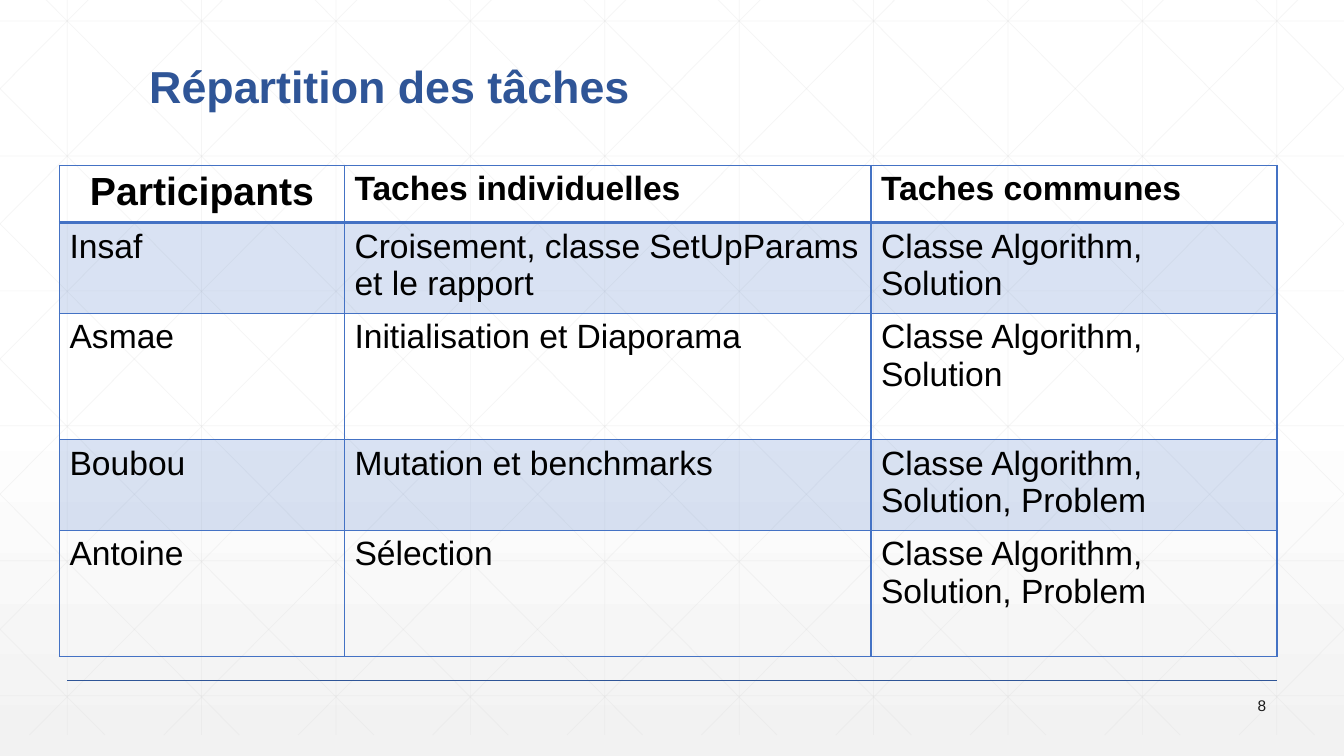
from dataclasses import dataclass

from lxml import etree
from pptx import Presentation
from pptx.dml.color import RGBColor
from pptx.enum.shapes import MSO_CONNECTOR
from pptx.enum.text import MSO_ANCHOR, PP_ALIGN
from pptx.oxml.ns import qn
from pptx.slide import Slide
from pptx.table import _Cell
from pptx.text.text import _Paragraph
from pptx.util import Cm, Pt

STRAIGHT = MSO_CONNECTOR.STRAIGHT
BOTTOM, MIDDLE = MSO_ANCHOR.BOTTOM, MSO_ANCHOR.MIDDLE
LEFT, CENTER, RIGHT = PP_ALIGN.LEFT, PP_ALIGN.CENTER, PP_ALIGN.RIGHT

FONT = "Arial"
COLORS = {
    "white": "FFFFFF",
    "background_end": "F2F2F2",
    "grid": "D9D9D9",
    "title": "2F5597",
    "table": "4472C4",
    "text": "000000",
    "number": "1A1A1A",
}

# All lengths are in centimetres.
SLIDE_WIDTH, SLIDE_HEIGHT = 33.87, 19.05
GRID_TOP, GRID_BOTTOM = -0.53, 18.52
GRID_COLUMNS, GRID_ROWS = 10, 6
GRID_PITCH = SLIDE_WIDTH / GRID_COLUMNS
ROW_START, ROW_PITCH = 0.53, 3.4
DIAGONAL_START, DIAGONAL_RUN = 0.64, 18.94

COLUMN_WIDTHS = (7.18, 13.27, 10.23)
ROW_HEIGHTS = (1.4, 2.2, 3.18, 2.2, 3.18)
TASKS = (
    ("Participants", "Taches individuelles", "Taches communes"),
    ("Insaf", "Croisement, classe SetUpParams et le rapport", "Classe Algorithm, Solution"),
    ("Asmae", "Initialisation et Diaporama", "Classe Algorithm, Solution"),
    ("Boubou", "Mutation et benchmarks", "Classe Algorithm, Solution, Problem"),
    ("Antoine", "Sélection", "Classe Algorithm, Solution, Problem"),
)


@dataclass(frozen=True)
class Line:
    x1: float
    y1: float
    x2: float
    y2: float
    color: str = "grid"
    width: float = 0.5
    opacity: int = 25

    def mirrored(self) -> "Line":
        return Line(SLIDE_WIDTH - self.x1, self.y1, SLIDE_WIDTH - self.x2, self.y2)


@dataclass(frozen=True)
class TextStyle:
    size: int
    color: str
    bold: bool = False
    alignment: PP_ALIGN = LEFT


@dataclass(frozen=True)
class Label:
    text: str
    left: float
    top: float
    width: float
    height: float
    anchor: MSO_ANCHOR
    style: TextStyle
    line_spacing: float = 1.0


LABELS = (
    Label("Répartition des tâches", 3.51, 0.97, 26.67, 2.01, BOTTOM,
          TextStyle(32, "title", bold=True), 0.9),
    Label("8", 29.62, 17.48, 2.54, 0.61, MIDDLE,
          TextStyle(11, "number", alignment=RIGHT)),
)


def rgb(name: str) -> RGBColor:
    return RGBColor.from_string(COLORS[name])


def set_opacity(element: etree._Element, percent: int) -> None:
    for color in element.iter(qn("a:srgbClr")):
        etree.SubElement(color, qn("a:alpha"), val=str(percent * 1000))


def diagonal(index: int) -> Line:
    """Return a falling diagonal, cut at the sides of the slide."""
    start = DIAGONAL_START + index * GRID_PITCH
    slope = (GRID_BOTTOM - GRID_TOP) / DIAGONAL_RUN
    x1, x2 = max(start, 0), min(start + DIAGONAL_RUN, SLIDE_WIDTH)
    return Line(x1, GRID_TOP + (x1 - start) * slope, x2, GRID_TOP + (x2 - start) * slope)


def grid_lines() -> list[Line]:
    columns = [(index + 0.5) * GRID_PITCH for index in range(GRID_COLUMNS)]
    rows = [ROW_START + index * ROW_PITCH for index in range(GRID_ROWS)]
    diagonals = [diagonal(index) for index in range(-5, GRID_COLUMNS)]
    return (
        [Line(x, GRID_TOP, x, GRID_BOTTOM) for x in columns]
        + [Line(0, y, SLIDE_WIDTH, y) for y in rows]
        + diagonals
        + [line.mirrored() for line in diagonals]
    )


def draw_line(slide: Slide, line: Line) -> None:
    connector = slide.shapes.add_connector(
        STRAIGHT, Cm(line.x1), Cm(line.y1), Cm(line.x2), Cm(line.y2))
    connector.line.color.rgb = rgb(line.color)
    connector.line.width = Pt(line.width)
    properties = connector._element.spPr
    if line.opacity < 100:
        set_opacity(properties, line.opacity)
    etree.SubElement(properties, qn("a:effectLst"))


def format_paragraph(paragraph: _Paragraph, style: TextStyle) -> None:
    paragraph.alignment = style.alignment
    for run in paragraph.runs:
        run.font.name = FONT
        run.font.size = Pt(style.size)
        run.font.bold = style.bold
        run.font.color.rgb = rgb(style.color)


def draw_label(slide: Slide, label: Label) -> None:
    shape = slide.shapes.add_textbox(
        Cm(label.left), Cm(label.top), Cm(label.width), Cm(label.height))
    frame = shape.text_frame
    frame.word_wrap = True
    frame.vertical_anchor = label.anchor
    frame.text = label.text
    paragraph = frame.paragraphs[0]
    paragraph.line_spacing = label.line_spacing
    format_paragraph(paragraph, label.style)


def set_borders(cell: _Cell, top: float, bottom: float) -> None:
    """Set the cell borders, with widths in points; the sides are 1 point."""
    properties = cell._tc.get_or_add_tcPr()
    widths = {"a:lnL": 1, "a:lnR": 1, "a:lnT": top, "a:lnB": bottom}
    for position, (tag, width) in enumerate(widths.items()):
        border = etree.Element(qn(tag), w=str(Pt(width)))
        fill = etree.SubElement(border, qn("a:solidFill"))
        etree.SubElement(fill, qn("a:srgbClr"), val=COLORS["table"])
        properties.insert(position, border)


def cell_style(row: int, column: int) -> TextStyle:
    if (row, column) == (0, 0):
        return TextStyle(28, "text", bold=True, alignment=CENTER)
    return TextStyle(24, "text", bold=row == 0)


def draw_tasks(slide: Slide) -> None:
    table = slide.shapes.add_table(
        len(TASKS), len(COLUMN_WIDTHS), Cm(1.5), Cm(4.17),
        Cm(sum(COLUMN_WIDTHS)), Cm(sum(ROW_HEIGHTS))).table
    table.first_row = table.horz_banding = False
    for column, width in zip(table.columns, COLUMN_WIDTHS):
        column.width = Cm(width)
    for row_index, (height, texts) in enumerate(zip(ROW_HEIGHTS, TASKS)):
        table.rows[row_index].height = Cm(height)
        for column_index, text in enumerate(texts):
            cell = table.cell(row_index, column_index)
            cell.text_frame.text = text
            format_paragraph(cell.text_frame.paragraphs[0], cell_style(row_index, column_index))
            if row_index % 2:
                cell.fill.solid()
                cell.fill.fore_color.rgb = rgb("table")
                set_opacity(cell._tc.tcPr, 20)
            else:
                cell.fill.background()
            set_borders(cell, 2 if row_index == 1 else 1, 2 if row_index == 0 else 1)


def set_background(slide: Slide) -> None:
    fill = slide.background.fill
    fill.gradient()
    fill.gradient_angle = 270
    stops = ((0.53, "white"), (1.0, "background_end"))
    for stop, (position, color) in zip(fill.gradient_stops, stops):
        stop.position = position
        stop.color.rgb = rgb(color)


def main() -> None:
    presentation = Presentation()
    presentation.slide_width, presentation.slide_height = Cm(SLIDE_WIDTH), Cm(SLIDE_HEIGHT)
    slide = presentation.slides.add_slide(presentation.slide_layouts[6])
    set_background(slide)
    footer_line = Line(1.69, 17.15, 32.17, 17.15, "title", 1, 100)
    for line in grid_lines() + [footer_line]:
        draw_line(slide, line)
    for label in LABELS:
        draw_label(slide, label)
    draw_tasks(slide)
    presentation.save("out.pptx")


if __name__ == "__main__":
    main()
